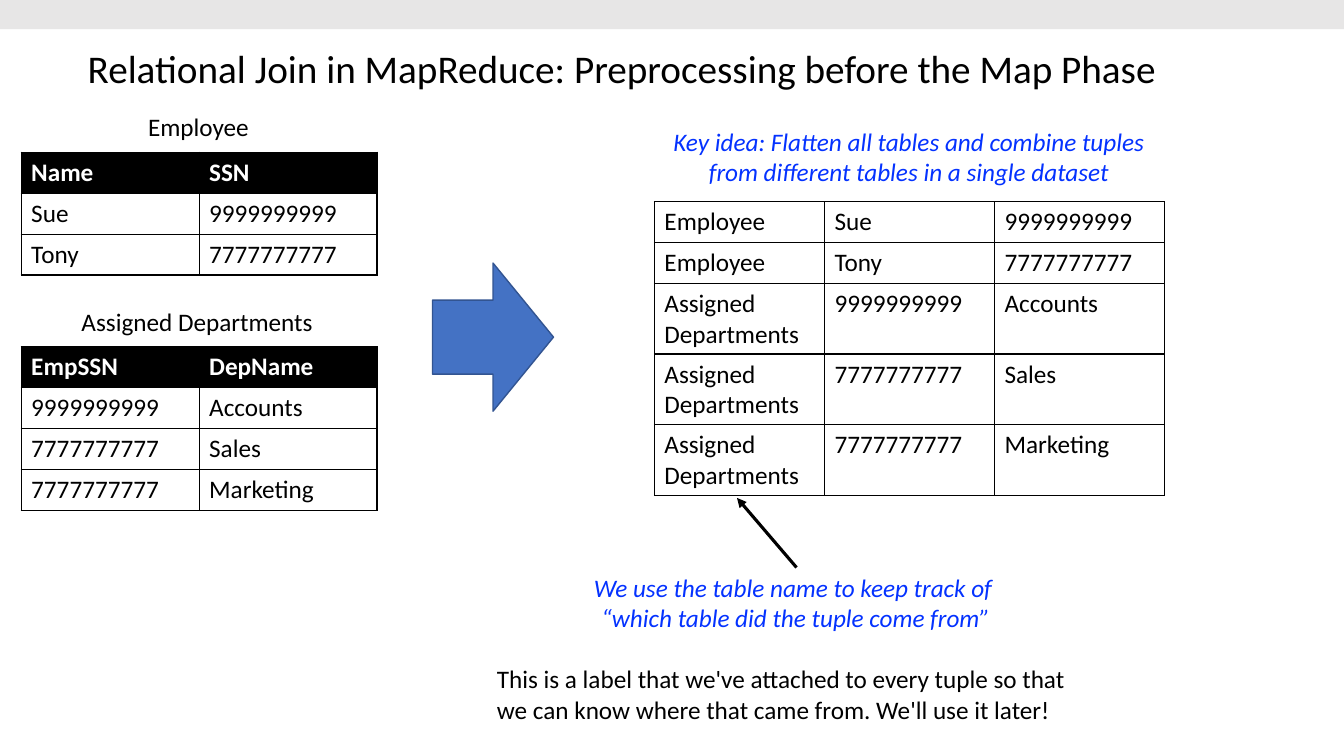
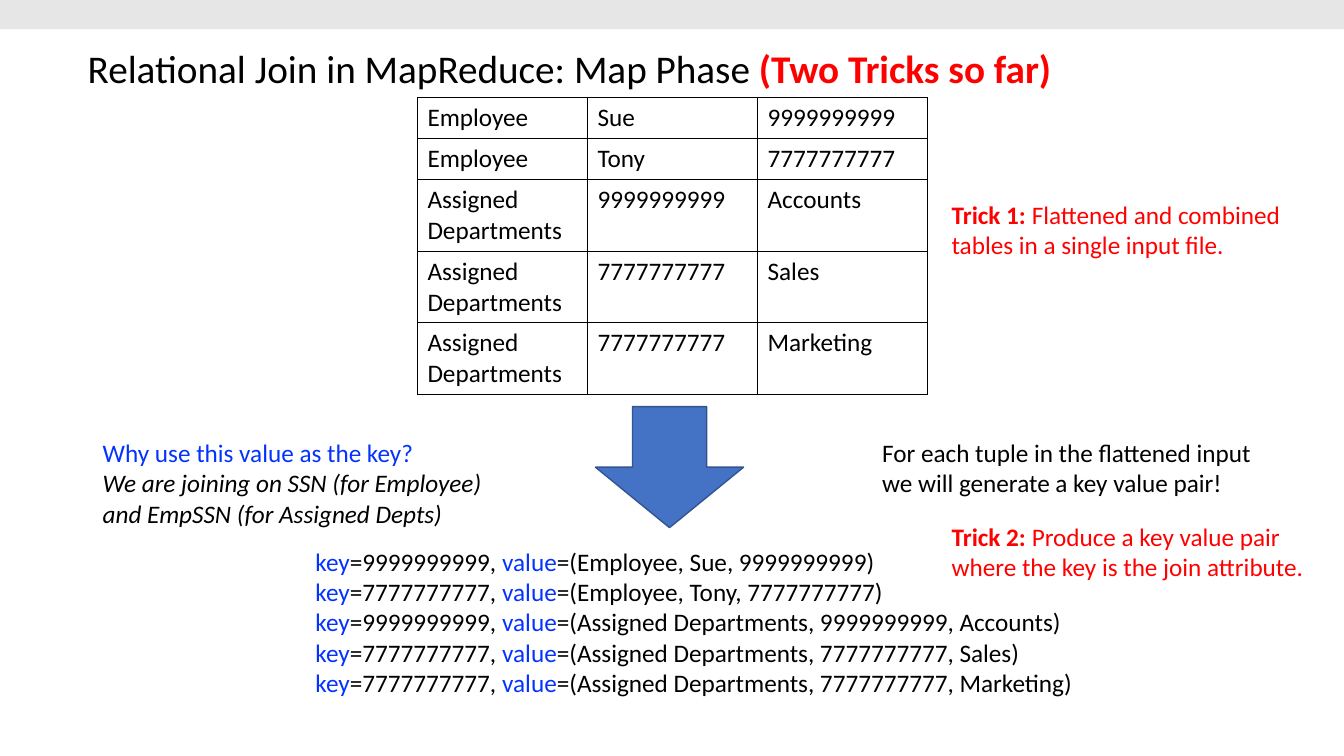
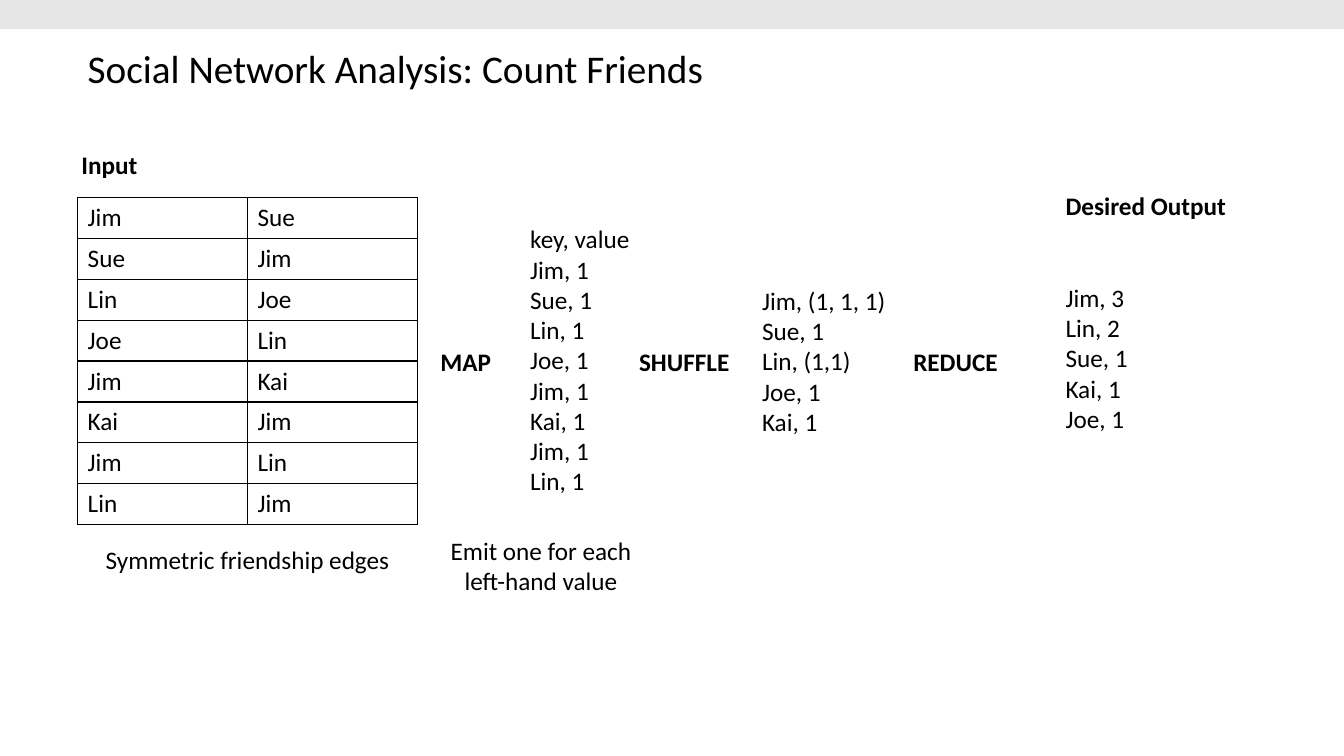
from lxml import etree
from pptx import Presentation
from pptx.dml.color import RGBColor
from pptx.enum.shapes import MSO_CONNECTOR, MSO_SHAPE
from pptx.enum.text import MSO_ANCHOR, MSO_AUTO_SIZE, PP_ALIGN
from pptx.oxml.ns import qn
from pptx.util import Inches, Pt

LEFT, CENTER = PP_ALIGN.LEFT, PP_ALIGN.CENTER
MIDDLE = MSO_ANCHOR.MIDDLE
NO_FIT, GROW = MSO_AUTO_SIZE.NONE, MSO_AUTO_SIZE.SHAPE_TO_FIT_TEXT
RECT, RIGHT_ARROW = MSO_SHAPE.RECTANGLE, MSO_SHAPE.RIGHT_ARROW
STRAIGHT = MSO_CONNECTOR.STRAIGHT

FONT = "Calibri"
BLACK, WHITE, BLUE, RED = "000000", "FFFFFF", "0432FF", "FF0000"
BAND, ARROW, ARROW_EDGE = "E7E6E6", "4472C4", "325491"

EMPLOYEES = [("Sue", "9999999999"), ("Tony", "7777777777")]
DEPARTMENTS = [
    ("9999999999", "Accounts"),
    ("7777777777", "Sales"),
    ("7777777777", "Marketing"),
]
FLAT = [("Employee", *row) for row in EMPLOYEES]
FLAT += [("Assigned Departments", *row) for row in DEPARTMENTS]
EDGES = [
    ("Jim", "Sue"), ("Sue", "Jim"), ("Lin", "Joe"), ("Joe", "Lin"),
    ("Jim", "Kai"), ("Kai", "Jim"), ("Jim", "Lin"), ("Lin", "Jim"),
]


def rgb(value):
    return RGBColor.from_string(value)


class Deck:
    """Holds the shared style and the current slide."""

    def __init__(self):
        self.prs = Presentation()
        self.prs.slide_width = Inches(13.33)
        self.prs.slide_height = Inches(7.5)
        self.s = None

    def slide(self, title):
        self.s = self.prs.slides.add_slide(self.prs.slide_layouts[5])
        self.shape(RECT, 0, 0, 13.33, 0.29, BAND)
        sp = self.s.shapes.title
        sp.left, sp.top = Inches(0.77), Inches(-0.02)
        sp.width, sp.height = Inches(11.5), Inches(1.45)
        tf = sp.text_frame
        tf.auto_size, tf.vertical_anchor = NO_FIT, MIDDLE
        p = tf.paragraphs[0]
        p.line_spacing = 0.9
        self.fill_paragraph(p, title, size=28)

    def style(self, p, size=18, color=BLACK, bold=False, italic=False, align=LEFT):
        p.alignment = align
        p.font.name, p.font.size = FONT, Pt(size)
        p.font.bold, p.font.italic = bold, italic
        p.font.color.rgb = rgb(color)

    def fill_paragraph(self, p, content, **style):
        """Fill a paragraph from a string or a list of (text, colour, bold) runs."""
        self.style(p, **style)
        if isinstance(content, str):
            p.add_run().text = content
            return
        for text, color, bold in content:
            r = p.add_run()
            r.text = text
            r.font.bold = bold
            r.font.color.rgb = rgb(color)

    def text(self, x, y, w, h, lines, wrap=True, **style):
        sp = self.s.shapes.add_textbox(Inches(x), Inches(y), Inches(w), Inches(h))
        tf = sp.text_frame
        tf.word_wrap, tf.auto_size = wrap, GROW
        for i, line in enumerate(lines):
            p = tf.add_paragraph() if i else tf.paragraphs[0]
            self.fill_paragraph(p, line, **style)
        return tf.paragraphs

    def label(self, x, y, w, text, **style):
        self.text(x, y, w, 0.4, [text], wrap=False, **style)

    def shape(self, kind, x, y, w, h, fill, line=None, rotation=0):
        sp = self.s.shapes.add_shape(kind, Inches(x), Inches(y), Inches(w), Inches(h))
        sp.shadow.inherit = False
        sp.rotation = rotation
        sp.fill.solid()
        sp.fill.fore_color.rgb = rgb(fill)
        if line:
            sp.line.color.rgb = rgb(line)
            sp.line.width = Pt(1)
        else:
            sp.line.fill.background()

    def block_arrow(self, x, y, rotation=0):
        self.shape(RIGHT_ARROW, x, y, 1.2, 1.47, ARROW, ARROW_EDGE, rotation)

    def pointer(self, x1, y1, x2, y2):
        sp = self.s.shapes.add_connector(
            STRAIGHT, Inches(x1), Inches(y1), Inches(x2), Inches(y2))
        sp.line.color.rgb = rgb(BLACK)
        sp.line.width = Pt(2.25)
        sp_pr = sp._element.spPr
        etree.SubElement(sp_pr.find(qn("a:ln")), qn("a:tailEnd"), type="triangle")
        etree.SubElement(sp_pr, qn("a:effectLst"))

    def table(self, x, y, w, h, rows, header=False):
        frame = self.s.shapes.add_table(
            len(rows), len(rows[0]), Inches(x), Inches(y), Inches(w), Inches(h))
        table = frame.table
        table.first_row, table.horz_banding = header, False
        for i, row in enumerate(rows):
            head = header and i == 0
            for j, text in enumerate(row):
                cell = table.cell(i, j)
                cell.fill.solid()
                cell.fill.fore_color.rgb = rgb(BLACK if head else WHITE)
                self.fill_paragraph(cell.text_frame.paragraphs[0], text,
                                    color=WHITE if head else BLACK, bold=head)
                self.borders(cell)
        return table

    def borders(self, cell):
        tc_pr = cell._tc.get_or_add_tcPr()
        for i, side in enumerate("LRTB"):
            ln = etree.Element(qn(f"a:ln{side}"), w=str(Pt(1)))
            fill = etree.SubElement(ln, qn("a:solidFill"))
            etree.SubElement(fill, qn("a:srgbClr"), val=BLACK)
            tc_pr.insert(i, ln)

    def flat_table(self, x, y):
        table = self.table(x, y, 5.06, 2.03, FLAT)
        for i in range(len(EMPLOYEES), len(FLAT)):
            table.rows[i].height = Inches(0.7)


def preprocessing(deck):
    deck.slide("Relational Join in MapReduce: Preprocessing before the Map Phase")
    deck.table(0.21, 1.51, 3.53, 1.22, [("Name", "SSN"), *EMPLOYEES], header=True)
    deck.table(0.21, 3.44, 3.53, 1.62, [("EmpSSN", "DepName"), *DEPARTMENTS], header=True)
    deck.label(1.37, 1.06, 1.21, "Employee")
    deck.label(0.71, 2.99, 2.52, "Assigned Departments")
    deck.block_arrow(4.29, 2.61)
    deck.text(6.52, 1.2, 4.99, 0.71, [
        "Key idea: Flatten all tables and combine tuples from different tables "
        "in a single dataset"], color=BLUE, italic=True, align=CENTER)
    deck.flat_table(6.49, 2)
    note = deck.text(4.83, 5.63, 6.13, 1.62, [
        "We use the table name to keep track of ",
        "“which table did the tuple come from”",
        "This is a label that we've attached to every tuple so that "
        "we can know where that came from. We'll use it later!",
    ], color=BLUE, italic=True, align=CENTER)[-1]
    deck.style(note)
    note.space_before = Pt(22)
    deck.pointer(7.9, 5.63, 7.31, 4.94)


def map_phase(deck):
    deck.slide([("Relational Join in MapReduce: Map Phase ", BLACK, False),
                ("(Two Tricks so far)", RED, True)])
    deck.flat_table(4.14, 0.97)
    deck.block_arrow(6.04, 3.9, rotation=90)
    deck.text(8.65, 4.29, 3.99, 0.71, [
        "For each tuple in the flattened input we will generate a key value pair!"])
    pairs = []
    for row in FLAT:
        key = row[2] if row[0] == "Employee" else row[1]
        pairs.append([("key", BLUE, False), (f"={key}, ", BLACK, False),
                      ("value", BLUE, False), (f"=({', '.join(row)})", BLACK, False)])
    deck.text(3.03, 5.37, 7.92, 1.62, pairs)
    question, answer = deck.text(0.92, 4.29, 3.99, 1.01, [
        "Why use this value as the key?",
        "We are joining on SSN (for Employee) and EmpSSN (for Assigned Depts)"])
    deck.style(question, color=BLUE)
    deck.style(answer, italic=True)
    tricks = [
        (1.93, "Trick 1: ", "Flattened and combined tables in a single input file."),
        (5.12, "Trick 2: ", "Produce a key value pair where the key is the join attribute."),
    ]
    for y, name, trick in tricks:
        deck.text(9.34, y, 3.99, 0.71, [[(name, RED, True), (trick, RED, False)]])


def count_friends(deck):
    deck.slide("Social Network Analysis: Count Friends")
    deck.table(0.77, 1.96, 3.37, 3.24, EDGES)
    deck.label(0.71, 1.43, 0.76, "Input", bold=True)
    heading, first, *_ = deck.text(10.47, 1.84, 1.8, 2.52, [
        "Desired Output", "Jim, 3", "Lin, 2", "Sue, 1", "Kai, 1", "Joe, 1"], wrap=False)
    deck.style(heading, bold=True)
    first.space_before = Pt(44)
    for x, w, step in [(4.27, 0.71, "MAP"), (6.24, 1.11, "SHUFFLE"), (8.96, 1.05, "REDUCE")]:
        deck.label(x, 3.39, w, step, bold=True)
    deck.text(5.16, 2.17, 1.36, 2.83,
              ["key, value", *(f"{person}, 1" for person, _ in EDGES)])
    deck.text(7.46, 2.78, 1.63, 1.62,
              ["Jim, (1, 1, 1)", "Sue, 1", "Lin, (1,1)", "Joe, 1", "Kai, 1"])
    deck.text(0.61, 5.35, 3.69, 0.4, ["Symmetric friendship edges"], align=CENTER)
    deck.text(4.27, 5.26, 2.19, 0.71, ["Emit one for each left-hand value"], align=CENTER)


def main():
    deck = Deck()
    for build in (preprocessing, map_phase, count_friends):
        build(deck)
    deck.prs.save("out.pptx")


if __name__ == "__main__":
    main()
